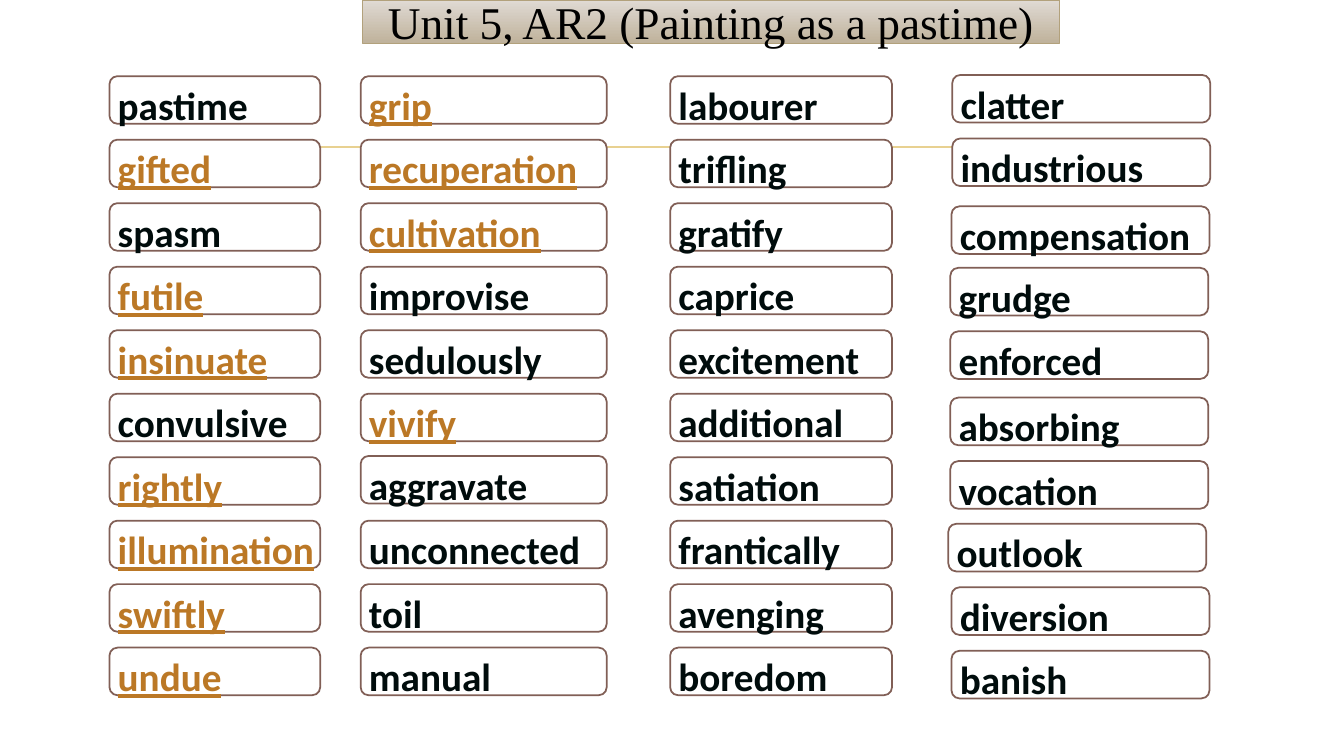
from dataclasses import dataclass, field

from lxml.etree import SubElement
from pptx import Presentation
from pptx.dml.color import RGBColor
from pptx.enum.shapes import MSO_CONNECTOR, MSO_SHAPE
from pptx.enum.text import MSO_ANCHOR, MSO_AUTO_SIZE, PP_ALIGN
from pptx.oxml.ns import qn
from pptx.slide import Slide
from pptx.text.text import TextFrame
from pptx.util import Cm, Pt


@dataclass(frozen=True)
class Theme:
    ink: RGBColor = RGBColor(0x00, 0x0C, 0x0C)
    mark: RGBColor = RGBColor(0xBB, 0x78, 0x26)
    edge: RGBColor = RGBColor(0x81, 0x5F, 0x56)
    paper: RGBColor = RGBColor(0xFF, 0xFF, 0xFF)
    rule: RGBColor = RGBColor(0xE8, 0xD1, 0x91)
    head: RGBColor = RGBColor(0x00, 0x00, 0x00)
    light: RGBColor = RGBColor(0xE0, 0xDA, 0xD4)
    dark: RGBColor = RGBColor(0xBF, 0xB2, 0x9B)
    rim: RGBColor = RGBColor(0xB2, 0xA1, 0x7C)
    head_font: str = "Times New Roman"
    word_font: str = "Calibri"
    head_size: float = 32.4
    word_size: float = 28
    edge_size: float = 1.25


@dataclass(frozen=True)
class Column:
    left: float
    width: float
    words: str
    marked: str = ""
    # Small shifts (right, down) in cm from the grid, by row
    shifts: dict[int, tuple[float, float]] = field(default_factory=dict)


THEME = Theme()
TOP, STEP, HEIGHT = 1.92, 1.6, 1.2

COLUMNS = [
    Column(2.76, 5.31,
           "pastime gifted spasm futile insinuate convulsive rightly "
           "illumination swiftly undue",
           "gifted futile insinuate rightly illumination swiftly undue"),
    Column(9.09, 6.2,
           "grip recuperation cultivation improvise sedulously vivify "
           "aggravate unconnected toil manual",
           "grip recuperation cultivation vivify",
           {6: (0, -0.03)}),
    Column(16.89, 5.59,
           "labourer trifling gratify caprice excitement additional "
           "satiation frantically avenging boredom"),
    Column(23.95, 6.5,
           "clatter industrious compensation grudge enforced absorbing "
           "vocation outlook diversion banish",
           shifts={0: (0.05, -0.03), 1: (0.05, -0.03), 2: (0.03, 0.08),
                   3: (0, 0.03), 4: (0, 0.03), 5: (0, 0.1), 6: (0, 0.1),
                   7: (-0.05, 0.08), 8: (0.03, 0.08), 9: (0.03, 0.08)}),
]


def set_frame(frame: TextFrame, left: float, right: float, pad: float) -> None:
    frame.auto_size = MSO_AUTO_SIZE.NONE
    frame.word_wrap = True
    frame.vertical_anchor = MSO_ANCHOR.MIDDLE
    frame.margin_left, frame.margin_right = Cm(left), Cm(right)
    frame.margin_top = frame.margin_bottom = Cm(pad)


def draw_title(slide: Slide, text: str) -> None:
    title = slide.shapes.title
    title.left, title.top = Cm(9.14), Cm(0)
    title.width, title.height = Cm(17.55), Cm(1.09)
    title.fill.gradient()
    title.fill.gradient_angle = 270
    for stop, color in zip(title.fill.gradient_stops, (THEME.light, THEME.dark)):
        stop.color.rgb = color
    title.line.color.rgb = THEME.rim
    title.line.width = Pt(0.75)
    set_frame(title.text_frame, 0.25, 0.25, 0.13)
    par = title.text_frame.paragraphs[0]
    par.alignment = PP_ALIGN.CENTER
    run = par.add_run()
    run.text = text
    run.font.name = THEME.head_font
    run.font.size = Pt(THEME.head_size)
    run.font.color.rgb = THEME.head


def draw_rule(slide: Slide) -> None:
    rule = slide.shapes.add_connector(
        MSO_CONNECTOR.STRAIGHT, Cm(4.67), Cm(3.71), Cm(29.08), Cm(3.71))
    rule.line.color.rgb = THEME.rule
    rule.line.width = Pt(THEME.edge_size)
    SubElement(rule._element.spPr, qn("a:effectLst"))


def draw_word(slide: Slide, word: str, marked: bool,
              left: float, top: float, width: float) -> None:
    box = slide.shapes.add_shape(
        MSO_SHAPE.ROUNDED_RECTANGLE, Cm(left), Cm(top), Cm(width), Cm(HEIGHT))
    box.shadow.inherit = False
    box.fill.solid()
    box.fill.fore_color.rgb = THEME.paper
    box.line.color.rgb = THEME.edge
    box.line.width = Pt(THEME.edge_size)
    set_frame(box.text_frame, 0.15, 0.05, 0.03)
    par = box.text_frame.paragraphs[0]
    par.alignment = PP_ALIGN.LEFT
    par.line_spacing = 1.2
    props = par._p.get_or_add_pPr()
    props.set("marL", str(Cm(0.74)))
    props.set("indent", str(Cm(-0.74)))
    run = par.add_run()
    run.text = word
    run.font.name = THEME.word_font
    run.font.size = Pt(THEME.word_size)
    run.font.bold = True
    run.font.underline = marked
    run.font.color.rgb = THEME.mark if marked else THEME.ink


def draw_column(slide: Slide, col: Column) -> None:
    marked = col.marked.split()
    for row, word in enumerate(col.words.split()):
        right, down = col.shifts.get(row, (0, 0))
        draw_word(slide, word, word in marked, col.left + right,
                  TOP + row * STEP + down, col.width)


def main() -> None:
    deck = Presentation()
    deck.slide_width, deck.slide_height = Cm(33.87), Cm(19.05)
    slide = deck.slides.add_slide(deck.slide_layouts[5])

    # Heading and the line behind the words
    draw_title(slide, "Unit 5, AR2 (Painting as a pastime)")
    draw_rule(slide)

    # Word columns
    for col in COLUMNS:
        draw_column(slide, col)

    deck.save("out.pptx")


if __name__ == "__main__":
    main()
